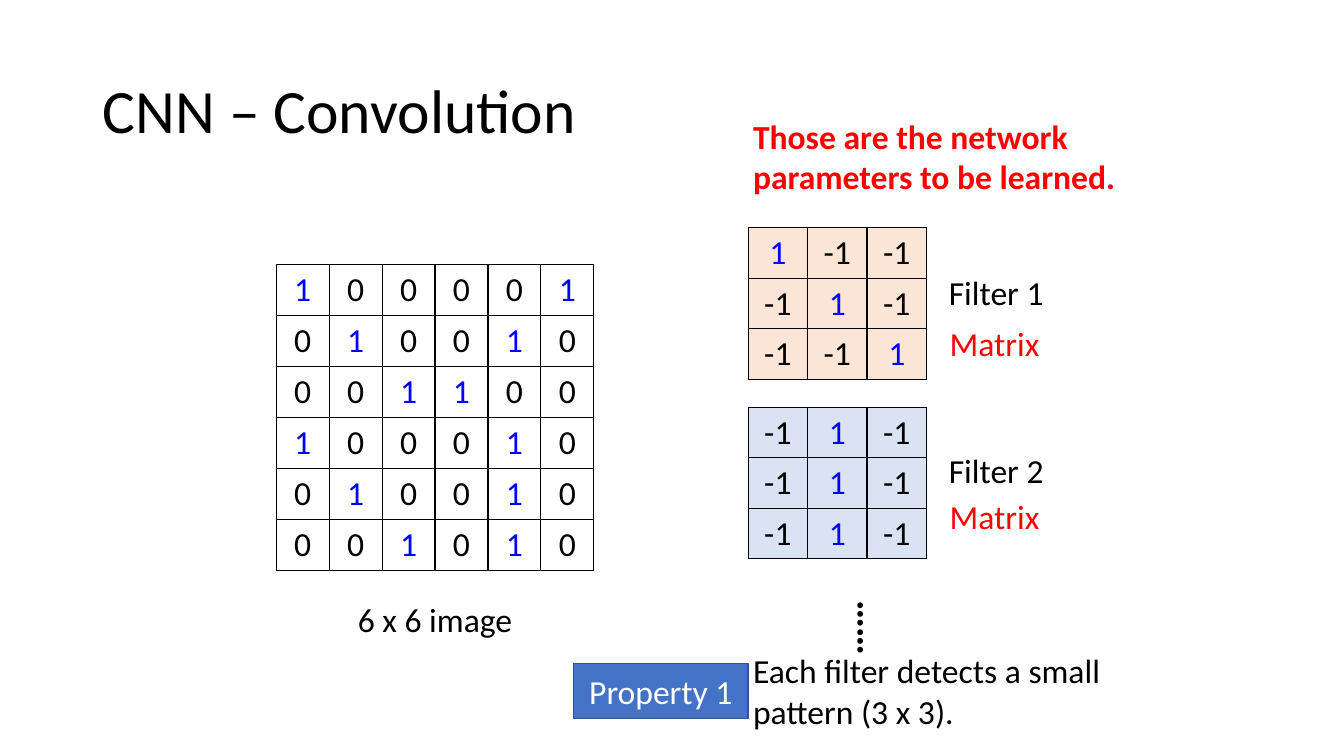
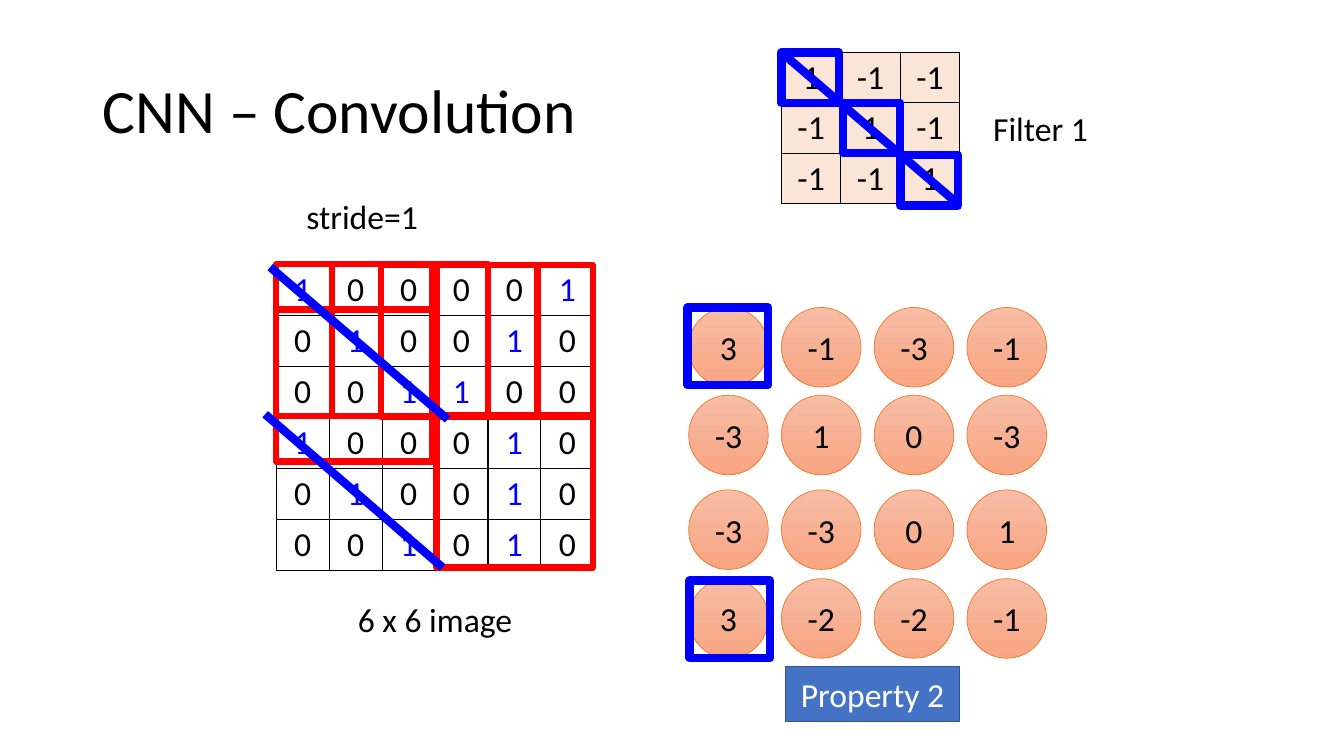
from pptx import Presentation
from pptx.dml.color import RGBColor
from pptx.enum.shapes import MSO_CONNECTOR, MSO_SHAPE
from pptx.enum.text import MSO_ANCHOR, PP_ALIGN
from pptx.oxml.ns import qn
from pptx.util import Emu, Pt
from lxml import etree

PX = 9144  # 100 px to the inch
FONT = "Calibri"
TEXT_SIZE = 24
LEFT, CENTER = PP_ALIGN.LEFT, PP_ALIGN.CENTER
MIDDLE = MSO_ANCHOR.MIDDLE
RECTANGLE, OVAL = MSO_SHAPE.RECTANGLE, MSO_SHAPE.OVAL
STRAIGHT = MSO_CONNECTOR.STRAIGHT

BLACK = RGBColor(0x00, 0x00, 0x00)
WHITE = RGBColor(0xFF, 0xFF, 0xFF)
RED = RGBColor(0xFF, 0x00, 0x00)
BLUE = RGBColor(0x00, 0x00, 0xFF)
PEACH = RGBColor(0xFB, 0xE5, 0xD6)
PALE_BLUE = RGBColor(0xDA, 0xE3, 0xF3)
BADGE_FILL = RGBColor(0x44, 0x72, 0xC4)
BADGE_LINE = RGBColor(0x32, 0x54, 0x91)
NEURON_TOP = RGBColor(0xF7, 0xBD, 0xA5)
NEURON_BOTTOM = RGBColor(0xF8, 0xA5, 0x82)
NEURON_LINE = RGBColor(0xED, 0x7D, 0x31)

IMAGE = [
    [1, 0, 0, 0, 0, 1],
    [0, 1, 0, 0, 1, 0],
    [0, 0, 1, 1, 0, 0],
    [1, 0, 0, 0, 1, 0],
    [0, 1, 0, 0, 1, 0],
    [0, 0, 1, 0, 1, 0],
]
FILTER_1 = [[1, -1, -1], [-1, 1, -1], [-1, -1, 1]]
FILTER_2 = [[-1, 1, -1]] * 3
FEATURE_MAP = [[3, -1, -3, -1], [-3, 1, 0, -3], [-3, -3, 0, 1], [3, -2, -2, -1]]

FILTER_SIZE = (177, 150)
WINDOW_SIZE = (155, 151)
WINDOW_CORNERS = [(274, 262), (329, 262), (378, 263), (433, 263), (274, 307), (433, 412)]
FILTER_CELL_CORNERS = [(775, 52), (836, 102), (893, 154)]
NEURON_TOPS = [305, 392, 486, 574]
NEURON_LEFT, NEURON_STEP, NEURON_SIZE = 683, 92, 79


def px(*lengths):
    return [Emu(length * PX) for length in lengths]


def format_text(text_frame, color=BLACK, size=TEXT_SIZE, bold=False, align=CENTER):
    for paragraph in text_frame.paragraphs:
        paragraph.alignment = align
        for run in paragraph.runs:
            run.font.name = FONT
            run.font.size = Pt(size)
            run.font.bold = bold
            run.font.color.rgb = color


def prepare_layout(presentation):
    """Give the title-only layout its wide title, which the slides inherit."""
    layout = presentation.slide_layouts.get_by_name("Title Only")
    title = layout.placeholders[0]
    title.left, title.top, title.width, title.height = px(92, 40, 1150, 145)
    title.text_frame.vertical_anchor = MIDDLE
    return layout


def add_text(slide, text, left, top, width, height, wrap=True, **style):
    box = slide.shapes.add_textbox(*px(left, top, width, height))
    box.text_frame.word_wrap = wrap
    box.text_frame.text = text
    format_text(box.text_frame, **style)
    return box


def add_shape(slide, kind, left, top, width, height, line_color, line_width):
    shape = slide.shapes.add_shape(kind, *px(left, top, width, height))
    shape.shadow.inherit = False
    shape.line.color.rgb = line_color
    shape.line.width = Pt(line_width)
    return shape


def add_frame(slide, left, top, width, height, color, line_width):
    frame = add_shape(slide, RECTANGLE, left, top, width, height, color, line_width)
    frame.fill.background()


def add_badge(slide, text, left, top):
    badge = add_shape(slide, RECTANGLE, left, top, 173, 55, BADGE_LINE, 1)
    badge.fill.solid()
    badge.fill.fore_color.rgb = BADGE_FILL
    badge.text_frame.text = text
    format_text(badge.text_frame, color=WHITE)


def add_neuron(slide, value, left, top):
    neuron = add_shape(slide, OVAL, left, top, NEURON_SIZE, NEURON_SIZE, NEURON_LINE, 0.5)
    neuron.fill.gradient()
    neuron.fill.gradient_angle = 270
    for stop, color in zip(neuron.fill.gradient_stops, (NEURON_TOP, NEURON_BOTTOM)):
        stop.color.rgb = color
    neuron.text_frame.text = str(value)
    format_text(neuron.text_frame)


def add_diagonal(slide, start_x, start_y, end_x, end_y):
    line = slide.shapes.add_connector(STRAIGHT, *px(start_x, start_y, end_x, end_y))
    line.line.color.rgb = BLUE
    line.line.width = Pt(6)
    etree.SubElement(line._element.spPr, qn("a:effectLst"))


def add_cell_borders(cell):
    properties = cell._tc.get_or_add_tcPr()
    for side in ("a:lnL", "a:lnR", "a:lnT", "a:lnB"):
        border = etree.SubElement(properties, qn(side), w=str(Pt(1)))
        fill = etree.SubElement(border, qn("a:solidFill"))
        etree.SubElement(fill, qn("a:srgbClr"), val=str(BLACK))


def add_matrix(slide, values, left, top, width, height, fill=None, one_color=BLUE):
    """Draw a bordered number grid, with its ones in one_color."""
    rows, columns = len(values), len(values[0])
    frame = slide.shapes.add_table(rows, columns, *px(left, top, width, height))
    table = frame.table
    table.first_row = table.horz_banding = False
    for row, row_values in enumerate(values):
        for column, value in enumerate(row_values):
            cell = table.cell(row, column)
            add_cell_borders(cell)
            if fill is None:
                cell.fill.background()
            else:
                cell.fill.solid()
                cell.fill.fore_color.rgb = fill
            cell.text_frame.text = str(value)
            format_text(cell.text_frame, color=one_color if value == 1 else BLACK)


def add_convolution_slide(presentation, layout):
    """Add a slide with the title and the captioned input image."""
    slide = presentation.slides.add_slide(layout)
    title = slide.shapes.title.text_frame
    title.text = "CNN – Convolution"
    title.paragraphs[0].line_spacing = 0.9
    format_text(title, size=44, align=LEFT)
    add_matrix(slide, IMAGE, 274, 262, 315, 300)
    add_text(slide, "6 x 6 image", 303, 589, 257, 50)
    return slide


def build_filters_slide(presentation, layout):
    slide = add_convolution_slide(presentation, layout)
    filters = [
        ("Filter 1", FILTER_1, PEACH, 226, 265, 315),
        ("Filter 2", FILTER_2, PALE_BLUE, 404, 441, 487),
    ]
    for name, values, fill, top, name_top, note_top in filters:
        add_matrix(slide, values, 742, top, *FILTER_SIZE, fill=fill)
        add_text(slide, name, 909, name_top, 158, 50)
        add_text(slide, "Matrix", 932, note_top, 112, 91, color=RED, align=LEFT)
    dots = add_text(slide, "……", 804, 572, 77, 104, size=28, bold=True, align=LEFT)
    dots.rotation = 90
    add_text(slide, "Those are the network parameters to be learned.",
             737, 110, 389, 131, color=RED, bold=True, align=LEFT)
    add_text(slide, "Each filter detects a small pattern (3 x 3).",
             737, 640, 389, 91, align=LEFT)
    add_badge(slide, "Property 1", 569, 658)


def build_stride_slide(presentation, layout):
    slide = add_convolution_slide(presentation, layout)
    add_matrix(slide, FILTER_1, 775, 52, *FILTER_SIZE, fill=PEACH, one_color=BLACK)
    add_text(slide, "Filter 1", 953, 102, 158, 50)
    add_text(slide, "stride=1", 294, 189, 142, 50, wrap=False, align=LEFT)
    for top, values in zip(NEURON_TOPS, FEATURE_MAP):
        for column, value in enumerate(values):
            add_neuron(slide, value, NEURON_LEFT + column * NEURON_STEP, top)
    for left, top in WINDOW_CORNERS:
        add_frame(slide, left, top, *WINDOW_SIZE, RED, 4.5)
    for left, top in FILTER_CELL_CORNERS:
        add_frame(slide, left, top, 57, 50, BLUE, 6)
    for left, top in [(682, 305), (684, 576)]:
        add_frame(slide, left, top, 80, 77, BLUE, 6)
    add_badge(slide, "Property 2", 779, 661)
    for ends in [(775, 52, 951, 203), (268, 265, 444, 416), (263, 411, 439, 563)]:
        add_diagonal(slide, *ends)


def main():
    presentation = Presentation()
    presentation.slide_width, presentation.slide_height = px(1333, 750)
    layout = prepare_layout(presentation)
    build_filters_slide(presentation, layout)
    build_stride_slide(presentation, layout)
    presentation.save("out.pptx")


if __name__ == "__main__":
    main()
